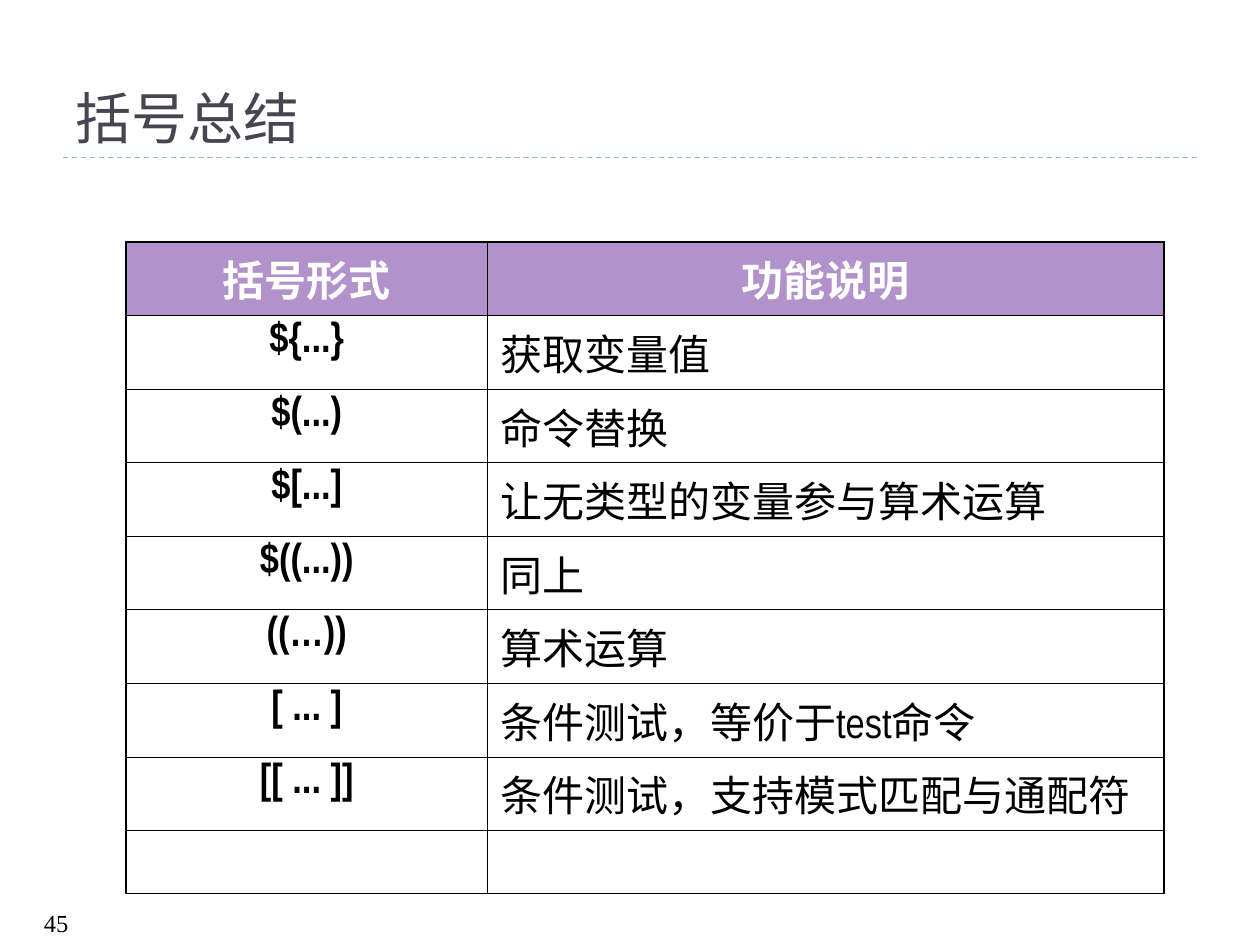
"""Build the slide that sums up the shell bracket forms in a table."""
from dataclasses import dataclass
from typing import Optional

import pptx
import pptx.dml.color
import pptx.enum.dml
import pptx.enum.shapes
import pptx.enum.text
import pptx.oxml.ns
import pptx.oxml.xmlchemy
import pptx.presentation
import pptx.slide
import pptx.table
import pptx.text.text
import pptx.util
from lxml import etree
from pptx.dml.color import RGBColor
from pptx.enum.text import MSO_ANCHOR, MSO_AUTO_SIZE, PP_ALIGN
from pptx.util import Inches

BLACK = RGBColor(0x00, 0x00, 0x00)
WHITE = RGBColor(0xFF, 0xFF, 0xFF)
HEADER_PURPLE = RGBColor(0xB2, 0x92, 0xCA)
TITLE_GREY = RGBColor(0x46, 0x46, 0x53)
RULE_BLUE = RGBColor(0x9F, 0xB8, 0xCD)
OUTER_WIDTH = 1.08
INNER_WIDTH = 0.45


@dataclass(frozen=True)
class BracketForm:
    """One row of the table: a bracket form and what it does."""

    form: str
    meaning: str


HEADINGS = BracketForm("括号形式", "功能说明")
BRACKET_FORMS = [
    BracketForm("${...}", "获取变量值"),
    BracketForm("$(...)", "命令替换"),
    BracketForm("$[...]", "让无类型的变量参与算术运算"),
    BracketForm("$((...))", "同上"),
    BracketForm("((…))", "算术运算"),
    BracketForm("[ ... ]", "条件测试，等价于test命令"),
    BracketForm("[[ ... ]]", "条件测试，支持模式匹配与通配符"),
    BracketForm("", ""),
]


def write(frame: pptx.text.text.TextFrame, text: str, *, font: str, size: float,
          color: RGBColor = BLACK, bold: bool = False,
          align: PP_ALIGN = PP_ALIGN.LEFT) -> None:
    """Put one formatted paragraph into a text frame."""
    paragraph = frame.paragraphs[0]
    paragraph.alignment = align
    run = paragraph.add_run()
    run.text = text
    run.font.name = font
    run.font.size = pptx.util.Pt(size)
    run.font.bold = bold
    run.font.color.rgb = color


def set_border(cell: pptx.table._Cell, side: str, width: float) -> None:
    """Draw a solid black border on one side (L, R, T or B) of a cell."""
    properties = cell._tc.get_or_add_tcPr()
    qn = pptx.oxml.ns.qn
    border = etree.SubElement(properties, qn(f"a:ln{side}"),
                              w=str(int(pptx.util.Pt(width))))
    fill = etree.SubElement(border, qn("a:solidFill"))
    etree.SubElement(fill, qn("a:srgbClr"), val=str(BLACK))


def add_title(slide: pptx.slide.Slide) -> None:
    """Place the title above its dashed rule."""
    rule = slide.shapes.add_connector(
        pptx.enum.shapes.MSO_CONNECTOR.STRAIGHT,
        Inches(0.5), Inches(1.25), Inches(9.5), Inches(1.25))
    rule.line.color.rgb = RULE_BLUE
    rule.line.width = pptx.util.Pt(0.75)
    rule.line.dash_style = pptx.enum.dml.MSO_LINE.DASH
    etree.SubElement(rule._element.spPr, pptx.oxml.ns.qn("a:effectLst"))

    title = slide.shapes.title
    title.left, title.top = Inches(0.5), Inches(0.17)
    title.width, title.height = Inches(9), Inches(1.08)
    title.text_frame.auto_size = MSO_AUTO_SIZE.NONE
    title.text_frame.vertical_anchor = MSO_ANCHOR.BOTTOM
    write(title.text_frame, "括号总结", font="Arial", size=32, color=TITLE_GREY)


def add_bracket_table(slide: pptx.slide.Slide) -> None:
    """Add the table of bracket forms with a heavier outer border."""
    rows = [HEADINGS, *BRACKET_FORMS]
    last = len(rows) - 1
    table = slide.shapes.add_table(len(rows), 2, Inches(1), Inches(1.92),
                                   Inches(8.24), Inches(4.53)).table
    table.first_row = table.horz_banding = False
    table.columns[0].width, table.columns[1].width = Inches(2.87), Inches(5.37)
    for index, row in enumerate(rows):
        is_header = index == 0
        table.rows[index].height = Inches(0.53 if is_header else 0.5)
        for column, text in enumerate((row.form, row.meaning)):
            cell = table.cell(index, column)
            outer_sides = {"L": column == 0, "R": column == 1,
                           "T": is_header, "B": index == last}
            for side, is_outer in outer_sides.items():
                set_border(cell, side, OUTER_WIDTH if is_outer else INNER_WIDTH)
            if is_header:
                cell.fill.solid()
                cell.fill.fore_color.rgb = HEADER_PURPLE
            else:
                cell.fill.background()
            if text:
                emphasised = is_header or column == 0
                write(cell.text_frame, text, font="Arial Narrow", size=24,
                      color=WHITE if is_header else BLACK, bold=emphasised,
                      align=PP_ALIGN.CENTER if emphasised else PP_ALIGN.LEFT)


def add_page_number(slide: pptx.slide.Slide, number: Optional[int]) -> None:
    """Write the page number in the bottom left corner."""
    page = slide.shapes.add_textbox(Inches(0.25), Inches(7.16),
                                    Inches(2.33), Inches(0.24))
    page.text_frame.word_wrap = True
    write(page.text_frame, str(number), font="Times New Roman", size=14)


def main() -> None:
    """Create and save the presentation."""
    presentation = pptx.Presentation()
    presentation.slide_width, presentation.slide_height = Inches(10), Inches(7.5)
    slide = presentation.slides.add_slide(presentation.slide_layouts[5])
    add_title(slide)
    add_bracket_table(slide)
    add_page_number(slide, 45)
    presentation.save("out.pptx")


if __name__ == "__main__":
    main()
